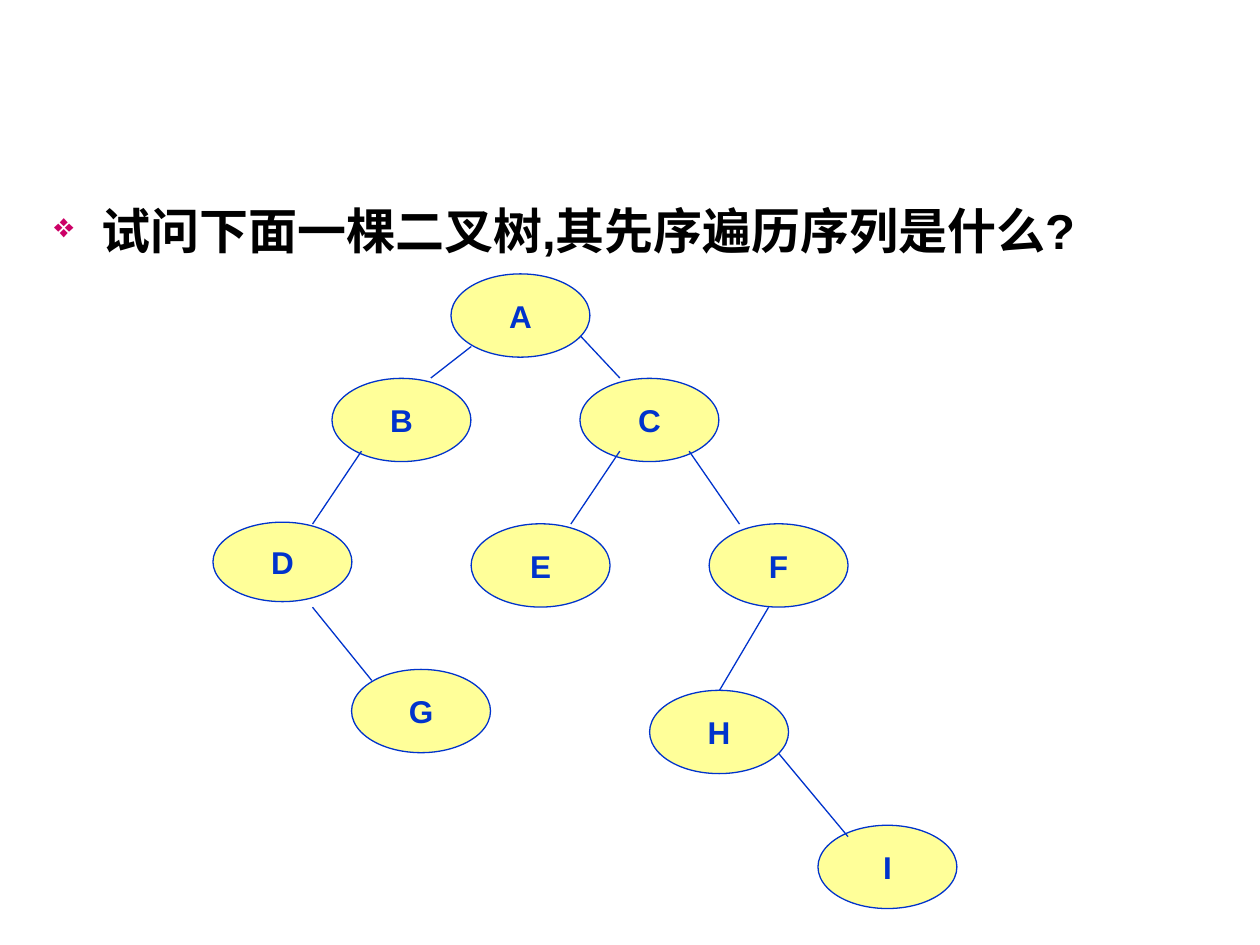
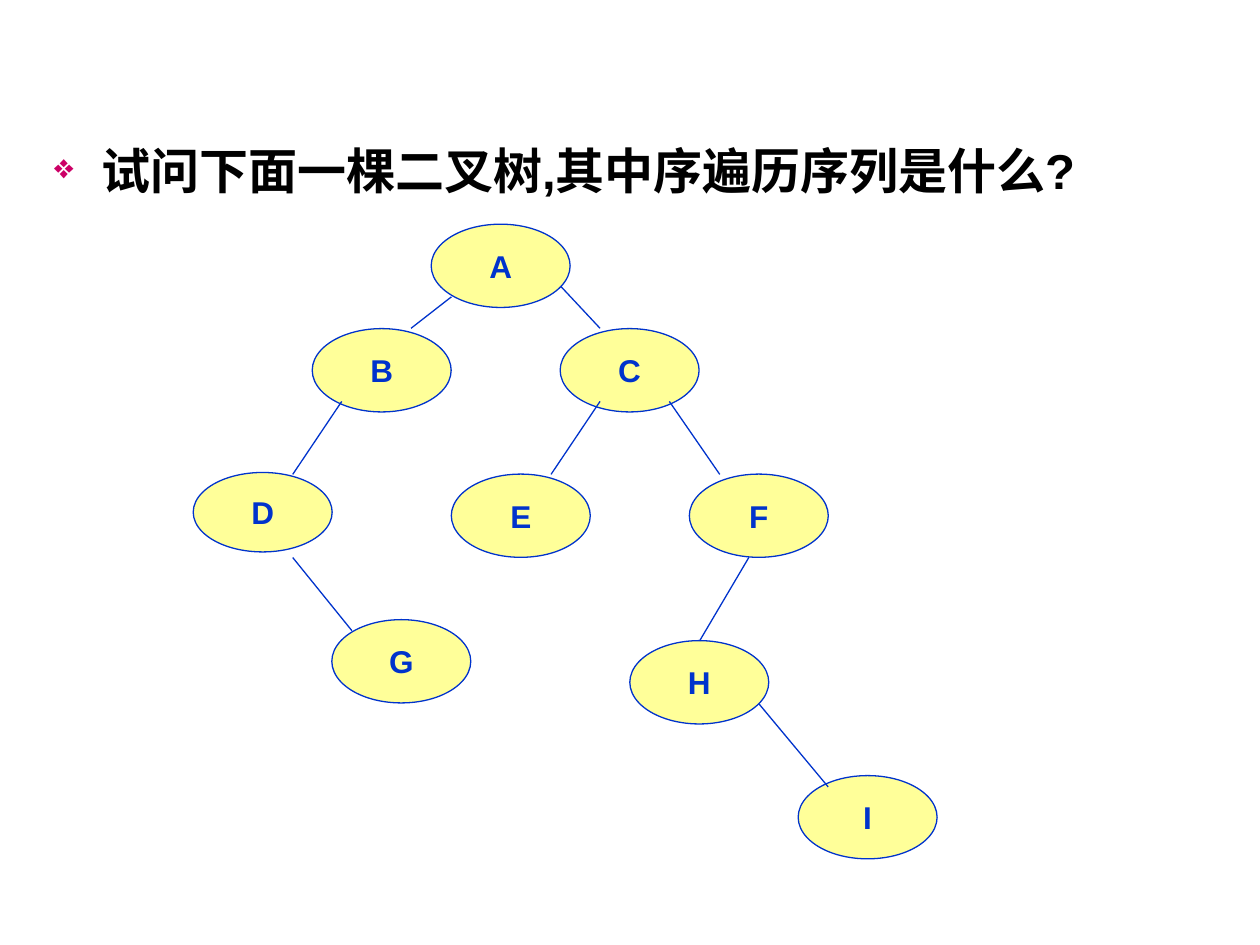
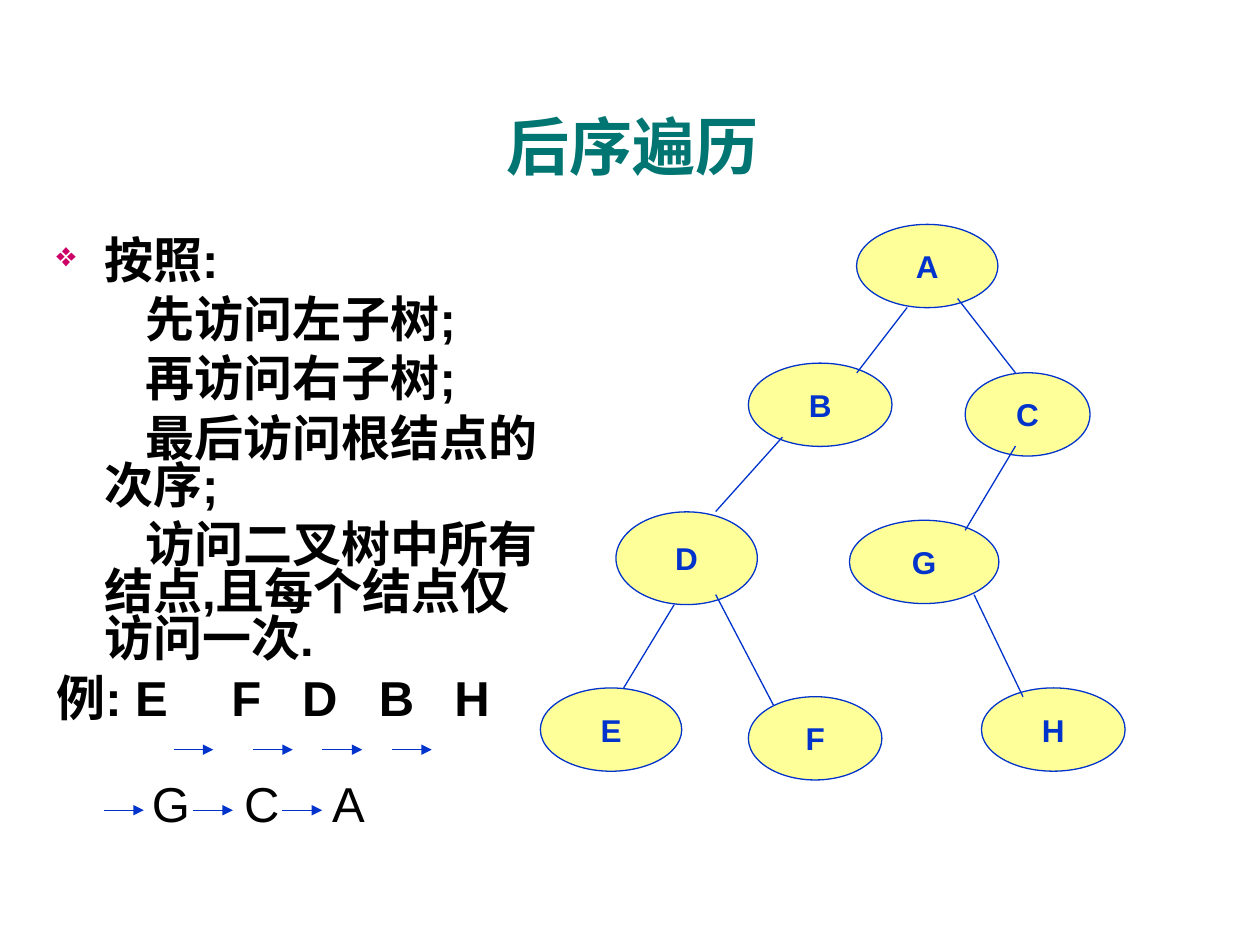
"""Build three slides on binary tree traversal."""
from dataclasses import dataclass

from lxml.etree import SubElement
from pptx import Presentation
from pptx.dml.color import RGBColor
from pptx.enum.shapes import MSO_CONNECTOR as Connector, MSO_SHAPE as Shape
from pptx.enum.text import MSO_ANCHOR as Anchor, MSO_AUTO_SIZE as AutoSize, PP_ALIGN as Align
from pptx.oxml.ns import qn
from pptx.util import Pt


@dataclass(frozen=True)
class Theme:
    font: str = "Arial"
    ink: str = "000000"
    title: str = "007572"
    bullet: str = "CC0066"
    node: str = "FFFF99"
    line: str = "0033CC"
    title_size: float = 36
    body_size: float = 28
    node_size: float = 18
    line_width: float = 0.75
    space_before: float = 7
    hanging: float = 27.36


THEME = Theme()
NODE_WIDTH, NODE_HEIGHT = 79.4, 47.6

QUIZ_NODES = [
    ("D", 161.4, 321.1, NODE_WIDTH, 45.4),
    ("A", 297.4, 180.3),
    ("B", 229.4, 240),
    ("C", 371.1, 240),
    ("G", 240.6, 406.3),
    ("E", 308.9, 323.1),
    ("F", 444.9, 323.1),
    ("H", 410.9, 418.3),
    ("I", 507.1, 495.4),
]
QUIZ_EDGES = [
    (269.3, 198, 246.2, 216),
    (206.6, 257.8, 178.6, 299.5),
    (393.8, 257.8, 422.6, 299.5),
    (178.6, 347, 212.4, 388.8),
    (331.9, 192.2, 354.2, 216),
    (354.2, 257.8, 326.2, 299.5),
    (439.2, 347, 411.1, 394.6),
    (445, 430.6, 484.6, 478.1),
]
QUIZZES = [
    ("试问下面一棵二叉树,其先序遍历序列是什么?", (23.8, 110.9, 648, 402.5), (0, 0)),
    ("试问下面一棵二叉树,其中序遍历序列是什么?", (23.8, 77, 672.5, 384.5), (-11.3, -28.4)),
]

POSTORDER_TITLE = "后序遍历"
TITLE_FRAME = (25.2, 52.6, 672.5, 61.2)
POSTORDER_FRAME = (25.2, 133.9, 300.2, 357.1)
STEP_INDENT = 23.8
POSTORDER_TEXT = [
    {"text": "按照:", "bullet": True},
    {"text": "先访问左子树;", "indent": STEP_INDENT},
    {"text": "再访问右子树;", "indent": STEP_INDENT},
    {"text": "最后访问根结点的次序;", "indent": STEP_INDENT},
    {"text": "访问二叉树中所有结点,且每个结点仅访问一次.", "indent": STEP_INDENT},
    {"text": "例: E\tF\tD\tB\tH", "tabs": (100, 140.4, 184.2, 227.4)},
    {"text": "\tG\tC\tA", "tabs": (54.5, 107.3, 157.5), "bold": False, "before": 34},
]
POSTORDER_NODES = [
    ("B", 468.7, 231.3, 82.1),
    ("H", 601.9, 416.9, 82.1),
    ("A", 529.9, 152, 80.8),
    ("C", 587.2, 236.8, 71.4),
    ("D", 392.4, 319, 80.8, 53),
    ("E", 349.2, 416.9, 80.8),
    ("F", 465.8, 421.9, 76.3),
    ("G", 528.1, 321.1, 85.4),
]
POSTORDER_EDGES = [
    (518.4, 175.7, 489.6, 213.1),
    (547.2, 170.6, 580.3, 213.1),
    (447.1, 249.8, 409, 292.3),
    (580.3, 254.9, 551.5, 303.1),
    (385.2, 345.6, 356.4, 393.1),
    (409, 339.8, 442.1, 403.2),
    (556.6, 339.8, 584.6, 398.2),
]
ARROW_LENGTH = 22.7
ARROW_ROWS = {428.4: (99.2, 144.6, 184.3, 224), 463: (59.5, 110.4, 161.4)}


def points(values):
    return [Pt(value) for value in values]


def set_font(para, size, color, bold=True):
    para.font.name = THEME.font
    para.font.size = Pt(size)
    para.font.bold = bold
    para.font.color.rgb = RGBColor.from_string(color)


def set_indent(properties, first_line):
    properties.set("marL", str(Pt(THEME.hanging)))
    properties.set("indent", str(Pt(first_line)))


def add_bullet(properties):
    color = SubElement(properties, qn("a:buClr"))
    SubElement(color, qn("a:srgbClr"), val=THEME.bullet)
    SubElement(properties, qn("a:buSzPct"), val="70000")
    SubElement(properties, qn("a:buChar"), char="❖")


def add_tabs(properties, stops):
    tabs = SubElement(properties, qn("a:tabLst"))
    for stop in stops:
        SubElement(tabs, qn("a:tab"), pos=str(Pt(stop)), algn="l")


def add_body(page, frame, items, line_spacing=None):
    body = page.shapes.add_textbox(*points(frame)).text_frame
    body.word_wrap = True
    for index, item in enumerate(items):
        para = body.add_paragraph() if index else body.paragraphs[0]
        para.text = item["text"]
        para.line_spacing = line_spacing
        if index:
            para.space_before = Pt(item.get("before", THEME.space_before))
        properties = para._p.get_or_add_pPr()
        if "tabs" in item:
            add_tabs(properties, item["tabs"])
        elif "bullet" in item:
            set_indent(properties, -THEME.hanging)
            add_bullet(properties)
        else:
            set_indent(properties, item["indent"])
        set_font(para, THEME.body_size, THEME.ink, item.get("bold", True))


def add_node(shapes, name, x, y, width=NODE_WIDTH, height=NODE_HEIGHT):
    frame = (x - width / 2, y - height / 2, width, height)
    node = shapes.add_shape(Shape.OVAL, *points(frame))
    node.shadow.inherit = False
    node.fill.solid()
    node.fill.fore_color.rgb = RGBColor.from_string(THEME.node)
    node.line.color.rgb = RGBColor.from_string(THEME.line)
    node.line.width = Pt(THEME.line_width)
    label = node.text_frame
    label.word_wrap = False
    label.vertical_anchor = Anchor.MIDDLE
    para = label.paragraphs[0]
    para.text = name
    para.alignment = Align.CENTER
    set_font(para, THEME.node_size, THEME.line)


def add_line(shapes, ends, arrow=False):
    connector = shapes.add_connector(Connector.STRAIGHT, *points(ends))
    connector.line.color.rgb = RGBColor.from_string(THEME.line)
    connector.line.width = Pt(THEME.line_width)
    if arrow:
        SubElement(connector.line._get_or_add_ln(), qn("a:tailEnd"), type="triangle")
    SubElement(connector._element.spPr, qn("a:effectLst"))


def add_tree(page, nodes, edges, shift=(0, 0)):
    shapes = page.shapes.add_group_shape().shapes
    right, down = shift
    for name, x, y, *size in nodes:
        add_node(shapes, name, x + right, y + down, *size)
    for x1, y1, x2, y2 in edges:
        add_line(shapes, (x1 + right, y1 + down, x2 + right, y2 + down))


def add_title(page, text):
    title = page.shapes.title
    title.left, title.top, title.width, title.height = points(TITLE_FRAME)
    title.text_frame.auto_size = AutoSize.NONE
    title.text_frame.vertical_anchor = Anchor.MIDDLE
    para = title.text_frame.paragraphs[0]
    para.text = text
    para.alignment = Align.CENTER
    set_font(para, THEME.title_size, THEME.title)


def main():
    deck = Presentation()
    deck.slide_width, deck.slide_height = Pt(720), Pt(540)
    title_only, blank = deck.slide_layouts[5], deck.slide_layouts[6]

    for question, frame, shift in QUIZZES:
        page = deck.slides.add_slide(blank)
        add_body(page, frame, [{"text": question, "bullet": True}])
        add_tree(page, QUIZ_NODES, QUIZ_EDGES, shift)

    page = deck.slides.add_slide(title_only)
    add_title(page, POSTORDER_TITLE)
    add_body(page, POSTORDER_FRAME, POSTORDER_TEXT, line_spacing=0.8)
    add_tree(page, POSTORDER_NODES, POSTORDER_EDGES)
    for y, starts in ARROW_ROWS.items():
        for x in starts:
            add_line(page.shapes, (x, y, x + ARROW_LENGTH, y), arrow=True)

    deck.save("out.pptx")


if __name__ == "__main__":
    main()
